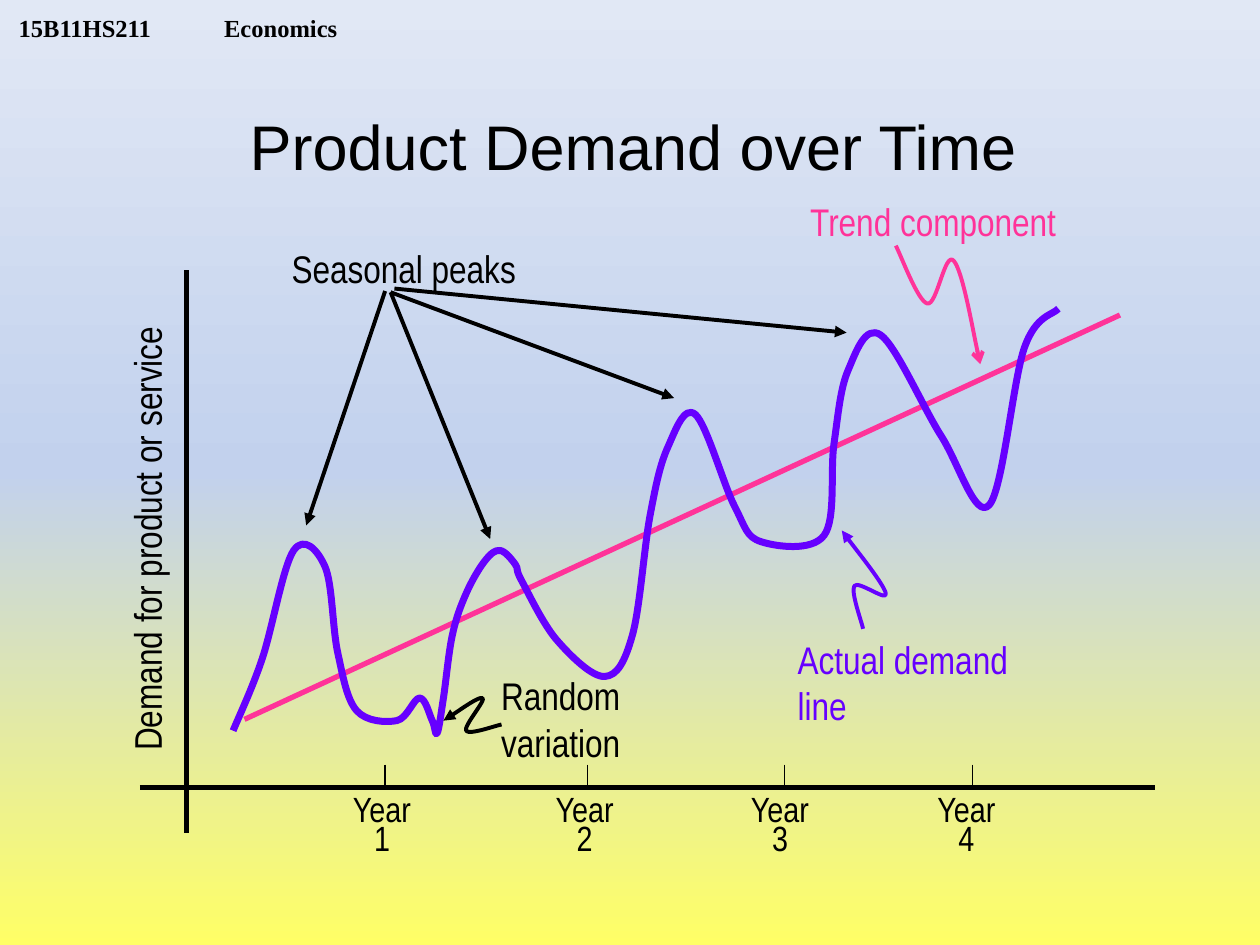
from copy import deepcopy
from dataclasses import dataclass

from lxml import etree
from pptx import Presentation
from pptx.dml.color import RGBColor
from pptx.enum import shapes, text
from pptx.oxml.ns import qn
from pptx.util import Pt


@dataclass
class Theme:
    ink: str = "000000"
    pink: str = "FF3399"
    blue: str = "6600FF"
    sky: tuple = ("FFFF66", "C2D1ED", "E1E8F5")
    head: int = 14
    title: int = 36
    label: int = 22
    year: int = 20
    thick: float = 4
    axis: float = 3
    arrow: float = 2.25
    tick: float = 0.75


def write(words, box, size, hue=Theme.ink, face="Arial Narrow", wrap=False,
          center=False, space=None, inset=(8, 3.6)):
    shape = slide.shapes.add_textbox(*map(Pt, box))
    frame = shape.text_frame
    frame.text = words
    frame.word_wrap = wrap
    frame.margin_left = frame.margin_right = Pt(inset[0])
    frame.margin_top = frame.margin_bottom = Pt(inset[1])
    for para in frame.paragraphs:
        para.alignment = text.PP_ALIGN.CENTER if center else text.PP_ALIGN.LEFT
        para.line_spacing = space
        for run in para.runs:
            run.font.name = face
            run.font.size = Pt(size)
            run.font.color.rgb = RGBColor.from_string(hue)
    return shape


def stroke(shape, hue, width, tail=None):
    shape.line.color.rgb = RGBColor.from_string(hue)
    shape.line.width = Pt(width)
    props = shape._element.spPr
    if tail:
        etree.SubElement(props.find(qn("a:ln")), qn("a:tailEnd"), type=tail)
    etree.SubElement(props, qn("a:effectLst"))


theme = Theme()
deck = Presentation()
deck.slide_width, deck.slide_height = Pt(720), Pt(540)
slide = deck.slides.add_slide(deck.slide_layouts[6])

fill = slide.background.fill
fill.gradient()
fill.gradient_angle = 90
stops = slide.background._cSld.find(".//" + qn("a:gsLst"))
stops.append(deepcopy(stops[-1]))
for stop, hue, place in zip(fill.gradient_stops, theme.sky, (0, 0.5, 1)):
    stop.color.rgb = RGBColor.from_string(hue)
    stop.position = place

head = write("15B11HS211\tEconomics", (3.6, 0, 230.4, 24.3), theme.head,
             face="Times New Roman", wrap=True, inset=(7.2, 0))
head.text_frame.vertical_anchor = text.MSO_ANCHOR.BOTTOM
para = head.text_frame.paragraphs[0]
tabs = etree.SubElement(para._p.get_or_add_pPr(), qn("a:tabLst"))
etree.SubElement(tabs, qn("a:tab"), pos=str(Pt(117.4)), algn="l")
for run in para.runs:
    run.font.bold = True

title = write("Product Demand over Time", (41.8, 41.8, 640, 90), theme.title,
              face="Arial", wrap=True, center=True, space=0.8, inset=(7.2, 3.6))
title.text_frame.vertical_anchor = text.MSO_ANCHOR.MIDDLE

base, rise = 450, 13
axes = [(79.9, base, 660.2, base), (106.6, 475.9, 106.6, 154.1)]
slope = [(139.7, 411.1, 640, 180)]
ticks = [(x, base - rise, x, base) for x in (220.1, 335.7, 448.4, 555.8)]
ticks.append((105.8, base, 105.8, base + rise))
peaks = [
    (220.1, 166.3, 175, 300.2),
    (223.2, 167, 280.1, 308),
    (223.2, 167, 385.2, 227.5),
    (225.4, 164.9, 483.8, 190.1),
]
for group, *style in (
    (axes, theme.ink, theme.axis),
    (ticks, theme.ink, theme.tick),
    (slope, theme.pink, theme.axis),
    (peaks, theme.ink, theme.arrow, "triangle"),
):
    for ends in group:
        line = slide.shapes.add_connector(
            shapes.MSO_CONNECTOR.STRAIGHT, *map(Pt, ends))
        stroke(line, *style)

for year, left in enumerate((192.4, 308.2, 419.8, 526.3), 1):
    write(f"Year\n{year}", (left, 453.1, 51.8, 40.3), theme.year,
          center=True, space=0.7)

for words, box, hue, wrap, turn in (
    ("Demand for product or service", (-51.5, 284, 271.4, 34.6), theme.ink, False, 270),
    ("Trend component", (455, 109.4, 167.8, 33.8), theme.pink, False, 0),
    ("Actual demand line", (447.8, 359.8, 141.1, 60.5), theme.blue, True, 0),
    ("Seasonal peaks", (158.6, 136.6, 150.5, 33.8), theme.ink, False, 0),
    ("Random variation", (278.4, 380.7, 101.5, 60.5), theme.ink, True, 0),
):
    write(words, box, theme.label, hue, wrap=wrap).rotation = turn

first = [(133.2, 417.6), (149.8, 376.6), (167.8, 314.6), (185.8, 324),
         (193, 373), (203.8, 406.1), (226.8, 411.8), (239.8, 398.9),
         (247, 411.8), (249.8, 419)]
second = [(253.4, 398.9), (258.5, 362.9), (266.4, 339.1), (277.2, 320.4),
          (285.8, 314.6), (294.5, 322.6), (298.1, 331.9), (318.2, 365.8),
          (345.6, 386.6)]
third = [(361.4, 362.9), (371.5, 294.5), (381.6, 255.6), (397.4, 236.9),
         (419.8, 289.4), (434.9, 309.6), (470.9, 306)]
fourth = [(476.6, 253.4), (484.6, 211.7), (503.3, 191.5), (537.8, 249.1),
          (565.2, 288.7), (585.4, 198.7), (604.8, 176.4)]
demand = first + second + third + fourth
trend = [(511.9, 140.4), (529.9, 173.5), (545, 149), (560.2, 208.1)]
actual = [(493.2, 359.3), (488.2, 334.8), (506.2, 339.1), (481, 303.1)]
noise = [(286.6, 414), (266.4, 417.6), (275.8, 398.9), (253.4, 411.8)]

for knots, *style in (
    (trend, theme.pink, theme.arrow, "arrow"),
    (demand, theme.blue, theme.thick),
    (actual, theme.blue, theme.arrow, "triangle"),
    (noise, theme.ink, theme.arrow, "triangle"),
):
    ends = [knots[0], *knots, knots[-1]]
    points = []
    for prev, (x, y), after in zip(ends, knots, ends[2:]):
        dx, dy = (after[0] - prev[0]) / 6, (after[1] - prev[1]) / 6
        points += [(x - dx, y - dy), (x, y), (x + dx, y + dy)]
    start, *rest = [(Pt(x), Pt(y)) for x, y in points[1:-1]]
    pen = slide.shapes.build_freeform(*start)
    pen.add_line_segments(rest, close=False)
    curve = pen.convert_to_shape()
    curve.fill.background()
    route = curve._element.spPr.find(".//" + qn("a:path"))
    steps = route.findall(qn("a:lnTo"))
    for i in range(0, len(steps), 3):
        bend = etree.SubElement(route, qn("a:cubicBezTo"))
        for step in steps[i:i + 3]:
            bend.append(step[0])
            route.remove(step)
    stroke(curve, *style)

deck.save("out.pptx")
